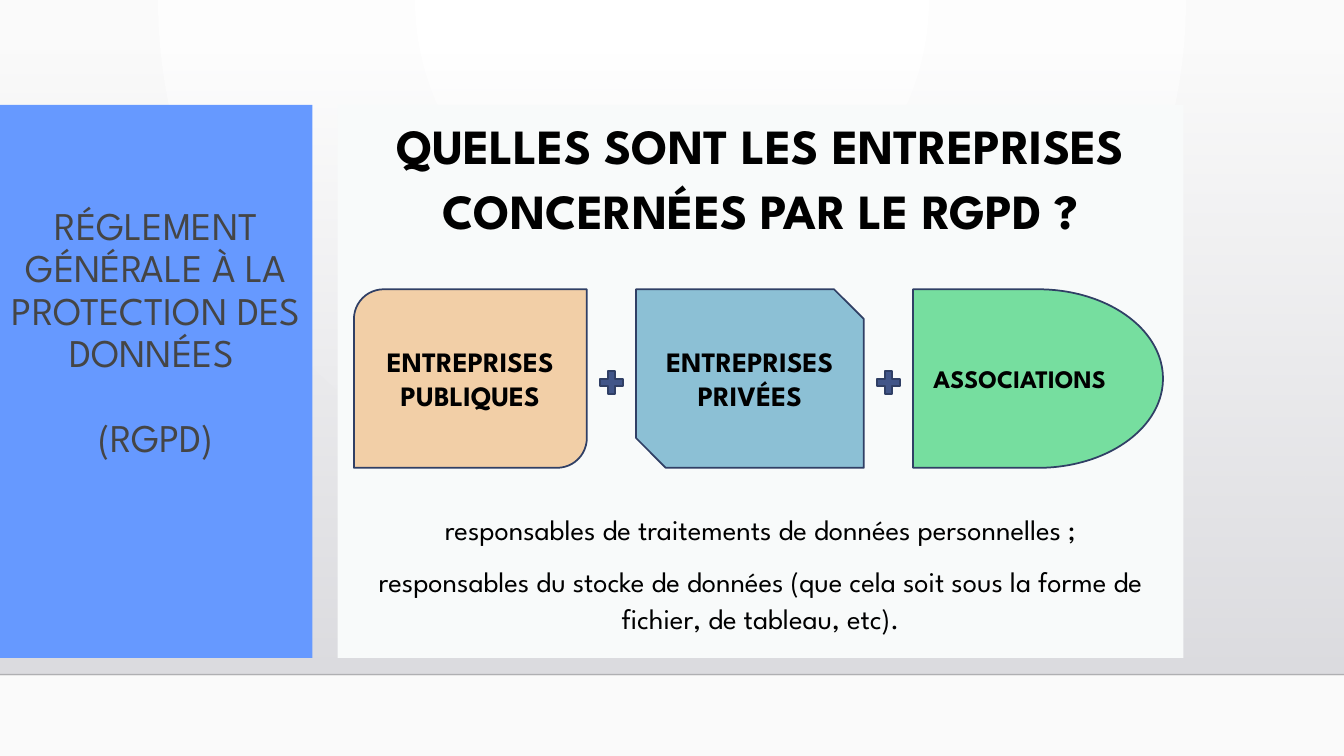
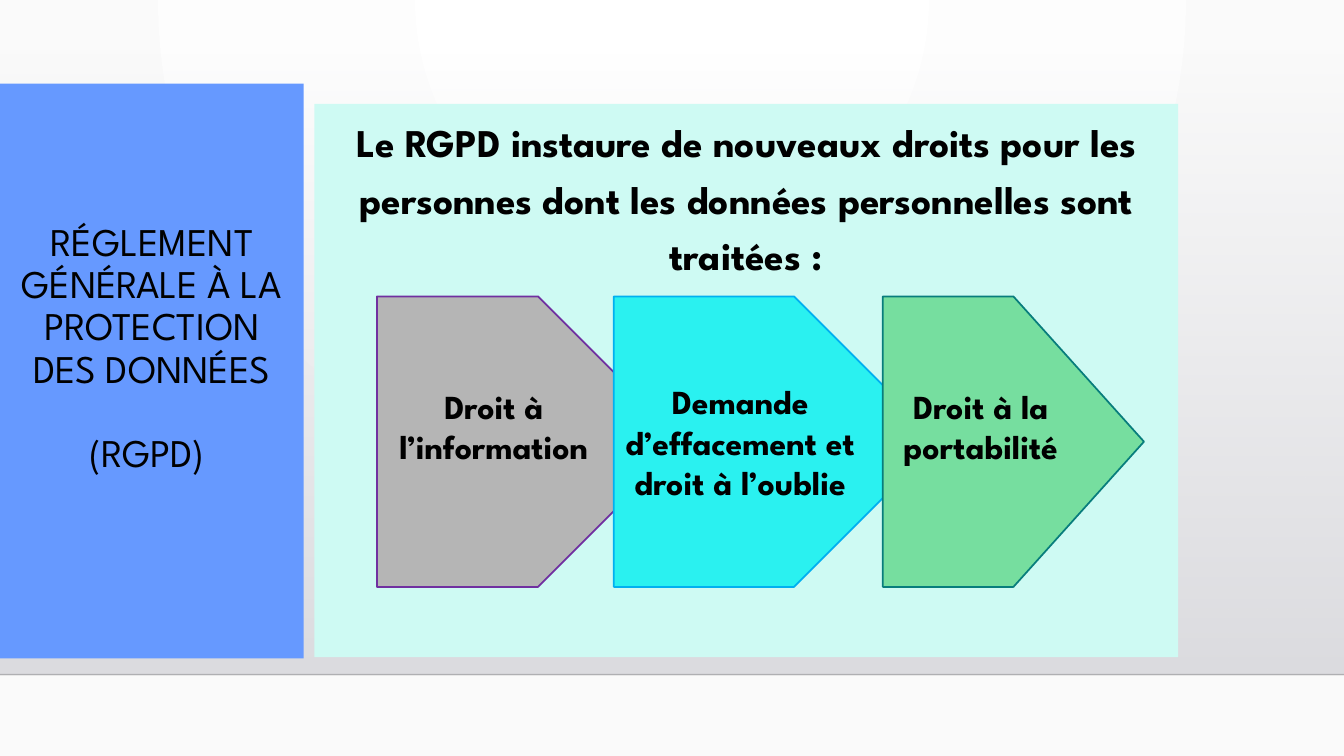
"""Build two slides on the RGPD: the organisations concerned and the new rights."""
from lxml.etree import SubElement
from pptx import Presentation
from pptx.dml.color import RGBColor
from pptx.enum.shapes import MSO_CONNECTOR, MSO_SHAPE
from pptx.enum.text import MSO_ANCHOR, MSO_AUTO_SIZE, PP_ALIGN
from pptx.oxml import parse_xml
from pptx.oxml.ns import nsdecls, qn
from pptx.util import Cm, Pt

FONT = "League Spartan"
WIDTH, HEIGHT = 33.87, 19.05
COLORS = {
    "black": "000000", "grey_text": "454545", "blue": "6699FF", "navy": "303F65",
    "plus": "415588", "pale": "F8FAFA", "mint": "CEFAF3", "peach": "F2CFA7",
    "sky": "8CC0D5", "green": "76DE9F", "grey": "B5B5B5", "purple": "7030A0",
    "cyan": "2AF1F0", "azure": "00B0F0", "teal": "087D7C", "rule": "000001",
    "white": "FFFFFF", "off_white": "FAFAFA", "band_top": "DCDCE0", "band_end": "DEDEE2",
}

SLIDES = [
    {
        "title": ["RÉGLEMENT GÉNÉRALE À LA PROTECTION DES DONNÉES ", "(RGPD)"],
        "title_box": (0, 2.64, 7.87, 13.94), "title_inset": 2.57, "title_color": "grey_text",
        "body_box": (8.51, 2.64, 21.31, 13.94), "body_fill": "pale", "spacing": 1.1,
        "body": [
            ("QUELLES SONT LES ENTREPRISES CONCERNÉES PAR LE RGPD ?", 35.1, True, 10),
            ("responsables de traitements de données personnelles ;", 20.4, False, 192),
            ("responsables du stocke de données (que cela soit sous la forme de "
             "fichier, de tableau, etc).", 20.4, False, 10),
        ],
        "row": (7.29, 4.5), "plus_signs": True,
        "cards": [
            ("ENTREPRISES PUBLIQUES", MSO_SHAPE.ROUND_2_DIAG_RECTANGLE, 8.92, 5.87,
             "peach", "navy", 20, 0.13),
            ("ENTREPRISES PRIVÉES", MSO_SHAPE.SNIP_2_DIAG_RECTANGLE, 16.03, 5.74,
             "sky", "navy", 20, 0.13),
            ("ASSOCIATIONS", MSO_SHAPE.FLOWCHART_DELAY, 23.01, 6.3,
             "green", "navy", 18, 0.13),
        ],
    },
    {
        "title": ["RÉGLEMENT GÉNÉRALE À LA PROTECTION DES DONNÉES", "(RGPD) "],
        "title_box": (0, 2.11, 7.65, 14.48), "title_inset": 3.49, "title_color": "black",
        "body_box": (7.92, 2.62, 21.77, 13.94), "body_fill": "mint", "spacing": 1.2,
        "body": [
            ("Le RGPD instaure de nouveaux droits pour les personnes dont les données "
             "personnelles sont traitées :", 28, True, 10),
        ],
        "row": (7.47, 7.32), "plus_signs": False,
        "cards": [
            ("Droit à l’information", MSO_SHAPE.PENTAGON, 9.5, 7.72,
             "grey", "purple", 24, 0.9),
            ("Demande d’effacement et droit à l’oublie", MSO_SHAPE.PENTAGON, 15.47, 8.2,
             "cyan", "azure", 24, 0.13),
            ("Droit à la portabilité", MSO_SHAPE.PENTAGON, 22.25, 6.58,
             "green", "teal", 24, 0.9),
        ],
    },
]


def color(name):
    return RGBColor.from_string(COLORS[name])


def gradient(first, last, direction, first_alpha=100):
    return parse_xml(
        f'<a:gradFill {nsdecls("a")} rotWithShape="1"><a:gsLst>'
        f'<a:gs pos="0"><a:srgbClr val="{COLORS[first]}">'
        f'<a:alpha val="{first_alpha * 1000}"/></a:srgbClr></a:gs>'
        f'<a:gs pos="100000"><a:srgbClr val="{COLORS[last]}"/></a:gs>'
        f'</a:gsLst>{direction}</a:gradFill>')


def swap_fill(parent, new_fill):
    parent.replace(parent.find(qn("a:solidFill")), new_fill)


def place(box, left, top, width, height):
    box.left, box.top, box.width, box.height = Cm(left), Cm(top), Cm(width), Cm(height)


def add_shape(page, kind, bounds, fill, line=None):
    shape = page.shapes.add_shape(kind, *(Cm(length) for length in bounds))
    shape.shadow.inherit = False
    shape.fill.solid()
    shape.fill.fore_color.rgb = color(fill)
    if line:
        shape.line.color.rgb = color(line)
        shape.line.width = Pt(1.25)
    else:
        shape.line.fill.background()
    return shape


def write(frame, lines, spacing, text_color):
    """Fill a frame with centred paragraphs given as text, size, bold, space before."""
    frame.word_wrap = True
    for index, (text, size, bold, before) in enumerate(lines):
        para = frame.paragraphs[0] if index == 0 else frame.add_paragraph()
        para.alignment = PP_ALIGN.CENTER
        para.line_spacing = spacing
        para.space_before = Pt(before)
        properties = para._p.get_or_add_pPr()
        properties.set("marL", "0")
        properties.set("indent", "0")
        SubElement(properties, qn("a:buNone"))
        span = para.add_run()
        span.text = text
        span.font.name = FONT
        span.font.size = Pt(size)
        span.font.bold = bold
        span.font.color.rgb = color(text_color)


def fill_placeholder(box, bounds, fill, lines, spacing, text_color, inset=0.13):
    place(box, *bounds)
    box.fill.solid()
    box.fill.fore_color.rgb = color(fill)
    frame = box.text_frame
    frame.auto_size = MSO_AUTO_SIZE.NONE
    frame.vertical_anchor = MSO_ANCHOR.TOP
    frame.margin_top = Cm(inset)
    write(frame, lines, spacing, text_color)


def decorate_master(master, page):
    """Give the master its backdrop, the fading band and the rule under it."""
    master.background.fill.solid()
    swap_fill(master.element.find(".//" + qn("p:bgPr")), gradient(
        "white", "off_white",
        '<a:path path="circle"><a:fillToRect l="43000" t="0" r="43000" b="100000"/></a:path>'))

    band = add_shape(page, MSO_SHAPE.RECTANGLE, (0, 1.3, WIDTH, 15.7), "band_end")
    swap_fill(band.element.spPr, gradient(
        "band_top", "band_end", '<a:lin ang="5400000" scaled="0"/>', 0))

    rule = page.shapes.add_connector(
        MSO_CONNECTOR.STRAIGHT, Cm(0), Cm(17), Cm(WIDTH), Cm(17))
    rule.line.width = Pt(1)
    rule.line.color.rgb = color("rule")
    tint = rule.element.find(".//" + qn("a:srgbClr"))
    SubElement(tint, qn("a:alpha")).set("val", "20000")
    SubElement(rule.element.spPr, qn("a:effectLst"))

    for position, part in enumerate((band, rule), start=2):
        master.shapes.element.insert(position, part.element)


def add_cards(page, content):
    top, height = content["row"]
    for text, kind, left, width, fill, line, size, bottom in content["cards"]:
        card = add_shape(page, kind, (left, top, width, height), fill, line)
        card.text_frame.vertical_anchor = MSO_ANCHOR.MIDDLE
        card.text_frame.margin_bottom = Cm(bottom)
        write(card.text_frame, [(text, size, True, 0)], 1.0, "black")


def add_plus_signs(page, content, size=0.78, top=9.25):
    cards = content["cards"]
    for before, after in zip(cards, cards[1:]):
        middle = (before[2] + before[3] + after[2]) / 2
        add_shape(page, MSO_SHAPE.MATH_PLUS, (middle - size / 2, top, size, size),
                  "plus", "navy")


deck = Presentation()
deck.slide_width, deck.slide_height = Cm(WIDTH), Cm(HEIGHT)
for number, content in enumerate(SLIDES):
    page = deck.slides.add_slide(deck.slide_layouts[1])
    if number == 0:
        decorate_master(deck.slide_master, page)
    name, abbreviation = content["title"]
    fill_placeholder(page.shapes.title, content["title_box"], "blue",
                     [(name, 28, False, 0), (abbreviation, 28, False, 30)],
                     0.9, content["title_color"], content["title_inset"])
    fill_placeholder(page.placeholders[1], content["body_box"], content["body_fill"],
                     content["body"], content["spacing"], "black")
    add_cards(page, content)
    if content["plus_signs"]:
        add_plus_signs(page, content)
deck.save("out.pptx")
